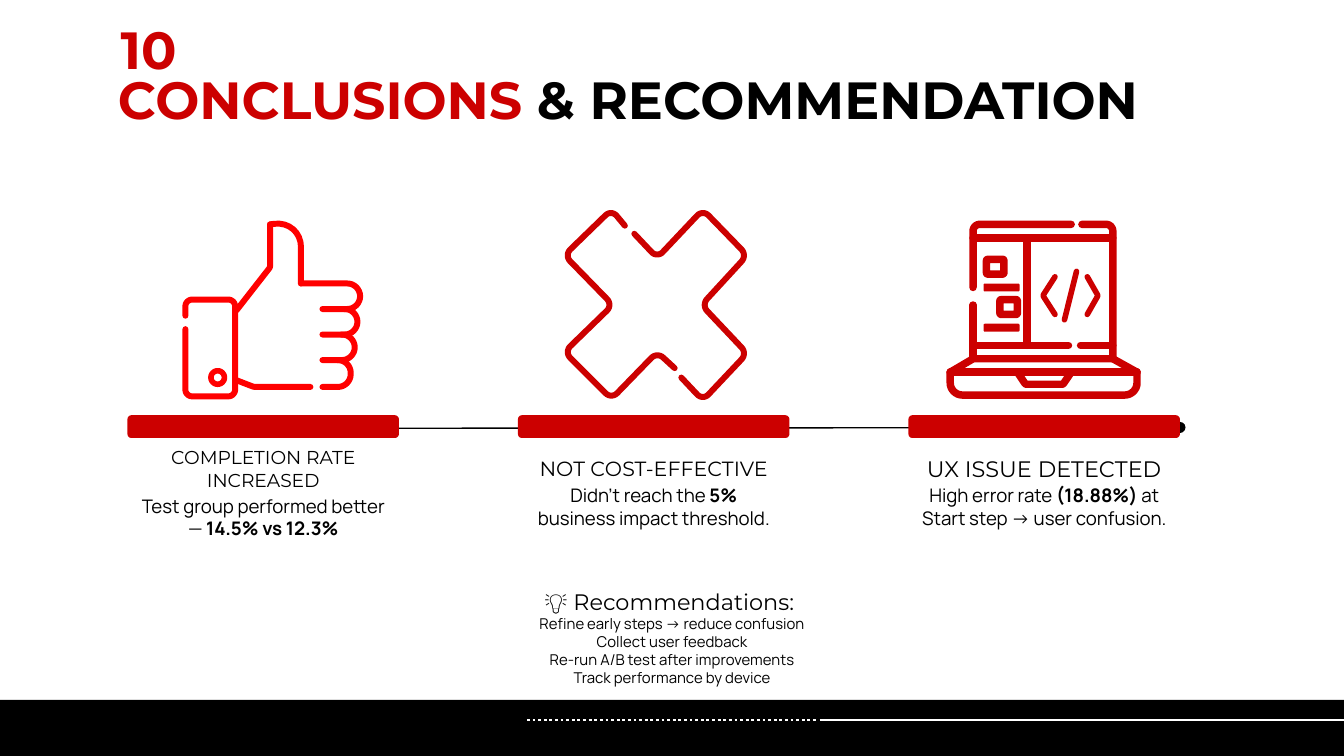
"""Build the conclusions and recommendation slide."""
from math import hypot

from lxml import etree
from pptx import Presentation
from pptx.dml.color import RGBColor
from pptx.enum.dml import MSO_LINE
from pptx.enum.shapes import MSO_CONNECTOR, MSO_SHAPE
from pptx.enum.text import MSO_ANCHOR, MSO_AUTO_SIZE, PP_ALIGN
from pptx.oxml.ns import qn
from pptx.util import Cm, Pt

LEFT, CENTER = PP_ALIGN.LEFT, PP_ALIGN.CENTER
TOP, MIDDLE = MSO_ANCHOR.TOP, MSO_ANCHOR.MIDDLE
NO_FIT = MSO_AUTO_SIZE.NONE
STRAIGHT = MSO_CONNECTOR.STRAIGHT
RECTANGLE, ROUNDED = MSO_SHAPE.RECTANGLE, MSO_SHAPE.ROUNDED_RECTANGLE
DOTTED = MSO_LINE.ROUND_DOT
RED, BRIGHT, BLACK, WHITE = "CC0000", "FF0000", "000000", "FFFFFF"
HEADING, BODY = "Montserrat", "Manrope"
hex_color = RGBColor.from_string


def add_text(box, text, *, size, font=BODY, color=BLACK, bold=False, align=CENTER, new=True):
    """Append a span to the box, in a new paragraph unless told otherwise."""
    frame = box.text_frame
    para = frame.paragraphs[-1]
    if new and para.runs:
        para = frame.add_paragraph()
    para.alignment = align
    span = para.add_run()
    span.text = text
    span.font.size, span.font.name, span.font.bold = Pt(size), font, bold
    span.font.color.rgb = hex_color(color)


def set_frame(box, left, top, width, height, anchor=MIDDLE):
    """Place a text box and give it the common margins."""
    box.left, box.top, box.width, box.height = Cm(left), Cm(top), Cm(width), Cm(height)
    frame = box.text_frame
    frame.word_wrap, frame.auto_size, frame.vertical_anchor = True, NO_FIT, anchor
    frame.margin_left = frame.margin_right = frame.margin_top = frame.margin_bottom = Cm(0.25)
    return box


deck = Presentation()
deck.slide_width, deck.slide_height = Cm(25.4), Cm(14.29)
page = deck.slides.add_slide(deck.slide_layouts[5])
shapes = page.shapes

title = set_frame(shapes.title, 1.98, 1.07, 21.44, 1.6)
add_text(title, "CONCLUSIONS ", size=28, font=HEADING, color=RED, bold=True, align=LEFT)
add_text(title, "& RECOMMENDATION", size=28, font=HEADING, bold=True, align=LEFT, new=False)
number = set_frame(shapes.add_textbox(0, 0, 0, 0), 2.03, 0.08, 8.33, 1.7, TOP)
add_text(number, "10", size=28, font=HEADING, color=RED, bold=True, align=LEFT)

column_left, column_step, column_width = 2.41, 7.38, 5.13
bars = [(0, 13.23, 25.4, 1.06, BLACK, RECTANGLE)]
lines = [
    (15.49, 13.61, 25.4, 13.61, WHITE, 1.5, None),
    (9.96, 13.61, 15.42, 13.61, WHITE, 1.5, DOTTED),
    (2.44, 8.1, 22.3, 8.08, BLACK, 0.75, None),
]
bars += [(column_left + i * column_step, 7.85, column_width, 0.43, RED, ROUNDED) for i in range(3)]
bars += [(18.59, top, 0.68, 0.15, RED, ROUNDED) for top in (5.36, 6.12)]

for left, top, right, bottom, color, weight, dash in lines:
    line = shapes.add_connector(STRAIGHT, Cm(left), Cm(top), Cm(right), Cm(bottom))
    line.line.color.rgb = hex_color(color)
    line.line.width = Pt(weight)
    if dash:
        line.line.dash_style = dash
    if color == BLACK:
        etree.SubElement(line.line._get_or_add_ln(), qn("a:tailEnd"), type="oval")
    etree.SubElement(line._element.spPr, qn("a:effectLst"))

for left, top, width, height, color, kind in bars:
    bar = shapes.add_shape(kind, Cm(left), Cm(top), Cm(width), Cm(height))
    bar.shadow.inherit = False
    bar.fill.solid()
    bar.fill.fore_color.rgb = hex_color(color)
    bar.line.fill.background()
    if color == BLACK:
        tree = bar._element.getparent()
        tree.remove(bar._element)
        tree.insert(2, bar._element)

findings = [
    ("COMPLETION RATE INCREASED", 10, 9.09, ["Test group performed better — ", "14.5% vs 12.3%"]),
    ("NOT COST-EFFECTIVE", 11, 8.89, ["Didn’t reach the ", "5%", " business impact threshold."]),
    ("UX ISSUE DETECTED", 12, 8.89, ["High error rate ", "(18.88%)", " at Start step → user confusion."]),
]
for i, (name, size, detail_top, spans) in enumerate(findings):
    left = column_left + i * column_step
    extra = 0.24 if size == 12 else 0
    heading = set_frame(shapes.add_textbox(0, 0, 0, 0), left - extra, 8.41, column_width + 2 * extra, 0.89)
    add_text(heading, name, size=size, font=HEADING)
    detail = set_frame(shapes.add_textbox(0, 0, 0, 0), left, detail_top, column_width, 1.37)
    for position, text in enumerate(spans):
        add_text(detail, text, size=10, bold=position == 1, new=False)

advice = set_frame(shapes.add_textbox(0, 0, 0, 0), 2.95, 10.85, 19.51, 2.39)
add_text(advice, "💡 Recommendations: ", size=12, font=HEADING)
for text in (
    "Refine early steps → reduce confusion",
    "Collect user feedback",
    "Re-run A/B test after improvements",
    "Track performance by device",
):
    add_text(advice, text, size=8)

thumb = [
    (5, [(138, 235), (138, 223), (175, 223), (175, 295), (138, 295), (138, 245)]),
    (1, [(176, 283), (189, 288), (231, 288)]),
    (1, [(176, 231), (201, 199), (201, 167)]),
    (20, [(201, 167), (224, 164), (224, 211)]),
    (9.5, [(224, 211), (268, 211), (268, 230), (240, 230)]),
    (9.5, [(256, 230), (266, 230), (266, 249), (240, 249)]),
    (9.5, [(254, 249), (264, 249), (264, 268), (240, 268)]),
    (9.5, [(251, 268), (261, 268), (261, 288), (240, 288)]),
]
button = [(5, [(162, 276), (167, 276), (167, 286), (157, 286), (157, 276), (162, 276)])]
cross_right = [(6, [(472, 174), (489, 192), (523, 156), (556, 190), (522, 227), (556, 263), (523, 298), (507, 281)])]
cross_left = [(6, [(465, 168), (455, 156), (420, 190), (456, 227), (420, 262), (455, 297), (489, 262), (502, 274)])]
laptop = [
    (5, [(724, 214), (724, 167), (797, 167)]),
    (5, [(805, 167), (828, 167), (828, 267)]),
    (0, [(724, 227), (724, 267)]),
    (0, [(724, 177), (828, 177)]),
    (0, [(764, 177), (764, 257)]),
    (0, [(724, 257), (795, 257)]),
    (0, [(804, 257), (828, 257)]),
    (1, [(707, 277), (724, 267), (828, 267), (846, 277)]),
    (9, [(707, 277), (707, 294), (846, 294), (846, 277)]),
    (0, [(707, 277), (846, 277)]),
    (1, [(757, 277), (763, 286), (791, 286), (797, 277)]),
]
windows = [
    [(1, [(740 + x, 193 + y), (747 + x, 193 + y), (747 + x, 204 + y), (734 + x, 204 + y),
          (734 + x, 193 + y), (740 + x, 193 + y)])]
    for x, y in ((0, 0), (10, 30))
]
brackets = [[(1, [(outer, 206), (tip, 220), (outer, 234)])] for outer, tip in ((785, 776), (809, 817))]
slash = [(0, [(801, 202), (792, 238)])]
icons = [(thumb, BRIGHT, 3.2), (button, BRIGHT, 3), (cross_right, RED, 3.2), (cross_left, RED, 3.2), (laptop, RED, 4)]
icons += [(window, RED, 4) for window in windows]
icons += [(code, RED, 3) for code in brackets + [slash]]

detail_scale = 100
for strokes, color, weight in icons:
    builder = None
    for radius, points in strokes:
        path = [points[0]]
        for before, corner, after in zip(points, points[1:], points[2:]):
            ends = []
            for other in (before, after):
                length = hypot(other[0] - corner[0], other[1] - corner[1])
                share = min(radius / length, 1)
                ends.append([c + (o - c) * share for c, o in zip(corner, other)])
            for step in range(9):
                t = step / 8
                weights = (1 - t) ** 3 + 1.35 * t * (1 - t) ** 2, t ** 3 + 1.35 * t ** 2 * (1 - t)
                middle = 1 - sum(weights)
                path.append([a * weights[0] + b * weights[1] + c * middle for a, b, c in zip(*ends, corner)])
        path.append(points[-1])
        path = [(x * detail_scale, y * detail_scale) for x, y in path]
        if builder is None:
            builder = shapes.build_freeform(*path[0], scale=Cm(2.54) / 100 / detail_scale)
        else:
            builder.move_to(*path[0])
        builder.add_line_segments(path[1:], close=False)
    icon = builder.convert_to_shape()
    icon.shadow.inherit = False
    icon.fill.background()
    icon.line.color.rgb = hex_color(color)
    icon.line.width = Pt(weight)
    outline = icon.line._get_or_add_ln()
    outline.set("cap", "rnd")
    etree.SubElement(outline, qn("a:round"))

deck.save("out.pptx")
